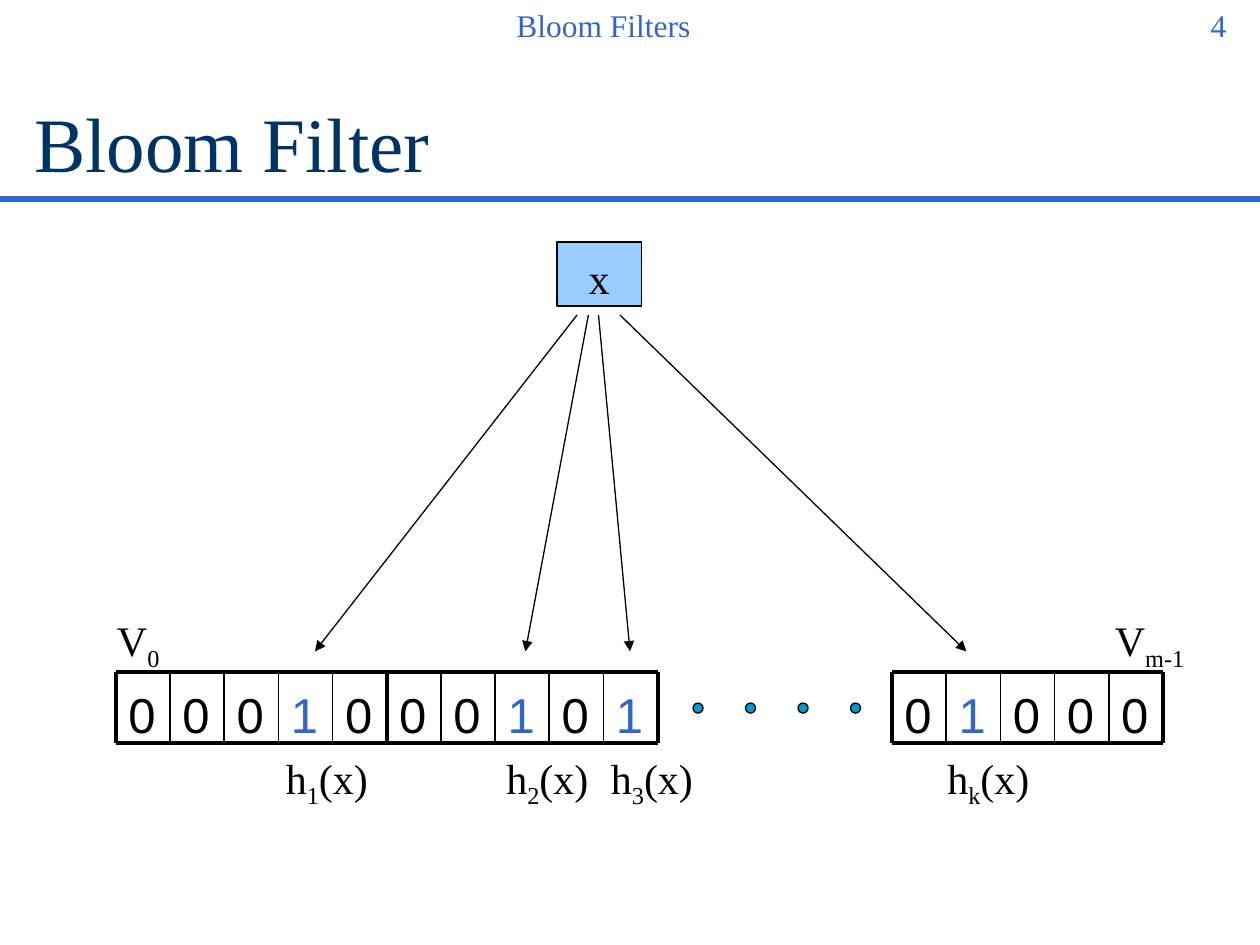
from dataclasses import dataclass

from lxml.etree import SubElement
from pptx import Presentation
from pptx.dml.color import RGBColor
from pptx.enum.shapes import MSO_CONNECTOR as Connector, MSO_SHAPE as Shape
from pptx.enum.text import MSO_ANCHOR as Anchor, PP_ALIGN as Align
from pptx.oxml.ns import qn
from pptx.util import Inches, Pt


@dataclass(frozen=True)
class Theme:
    """Colours, fonts and type sizes of the deck."""
    accent: RGBColor = RGBColor(0x33, 0x66, 0xCC)
    heading: RGBColor = RGBColor(0x00, 0x33, 0x66)
    ink: RGBColor = RGBColor(0x00, 0x00, 0x00)
    key_fill: RGBColor = RGBColor(0x99, 0xCC, 0xFF)
    dot_fill: RGBColor = RGBColor(0x00, 0x99, 0xCC)
    serif: str = "Times New Roman"
    sans: str = "Arial"
    title: int = 44
    bit: int = 28
    label: int = 24
    header: int = 18
    thick: float = 2.25
    thin: float = 1
    hairline: float = 0.75


THEME = Theme()


def style(para, size, color, face=THEME.serif, align=Align.LEFT):
    """Set the font and alignment of a paragraph."""
    para.alignment = align
    para.font.size = Pt(size)
    para.font.name = face
    para.font.color.rgb = color


def add_line(page, start, end, width, color=THEME.ink, arrow=False):
    """Draw a straight line, with an arrowhead at its end on request."""
    points = [Inches(value) for value in (*start, *end)]
    line = page.shapes.add_connector(Connector.STRAIGHT, *points)
    line.line.color.rgb = color
    line.line.width = Pt(width)
    if arrow:
        SubElement(line.line._get_or_add_ln(), qn("a:tailEnd"), type="triangle")
    SubElement(line._element.spPr, qn("a:effectLst"))


def add_shape(page, kind, box, fill=None):
    """Add a preset shape, outlined when it has a fill."""
    shape = page.shapes.add_shape(kind, *map(Inches, box))
    shape.shadow.inherit = False
    if fill is None:
        shape.fill.background()
        shape.line.fill.background()
    else:
        shape.fill.solid()
        shape.fill.fore_color.rgb = fill
        shape.line.color.rgb = THEME.ink
        shape.line.width = Pt(THEME.hairline)
    return shape


def write_in(shape, text, inset_top, *font):
    """Write one line at the top of a shape."""
    frame = shape.text_frame
    frame.vertical_anchor = Anchor.TOP
    frame.margin_top = Inches(inset_top)
    frame.text = text
    style(frame.paragraphs[0], *font)


def add_label(page, box, base, subscript="", rest="",
              size=THEME.label, color=THEME.ink):
    """Add a one-line label with an optional subscript."""
    frame = page.shapes.add_textbox(*map(Inches, box)).text_frame
    frame.word_wrap = False
    para = frame.paragraphs[0]
    style(para, size, color)
    for text, lowered in ((base, False), (subscript, True), (rest, False)):
        if text:
            span = para.add_run()
            span.text = text
            if lowered:
                span.font._element.set("baseline", "-25000")


def add_heading(page, box):
    """Place the running header, the rule and the title."""
    left, top, width, height = box
    rule = top + height - 0.17
    add_line(page, (0, rule), (10, rule), 3, THEME.accent)
    for text, spot in (("4", (9.51, 0, 0.49, 0.4)),
                       ("Bloom Filters", (4, 0, 1.58, 0.4))):
        add_label(page, spot, text, size=THEME.header, color=THEME.accent)
    title = page.shapes.title
    title.left, title.top, title.width, title.height = map(Inches, box)
    title.text_frame.text = "Bloom Filter"
    title.text_frame.vertical_anchor = Anchor.MIDDLE
    style(title.text_frame.paragraphs[0], THEME.title, THEME.heading)


def add_bits(page, box, bits):
    """Draw a framed row of bits, with the set bits in the accent colour."""
    left, top, width, height = box
    right, bottom = left + width, top + height
    cell = width / len(bits)
    for index, bit in enumerate(bits):
        shape = add_shape(page, Shape.FLOWCHART_DOCUMENT,
                          (left + index * cell, top, cell, height))
        color = THEME.accent if bit == "1" else THEME.ink
        write_in(shape, bit, 0.1, THEME.bit, color, THEME.sans)
    for y in (top, bottom):
        add_line(page, (left, y), (right, y), THEME.thick)
    for index in range(len(bits) + 1):
        x = left + index * cell
        weight = THEME.thick if index in (0, len(bits)) else THEME.thin
        add_line(page, (x, top), (x, bottom), weight)


def add_hashes(page, box):
    """Draw the key with its hash arrows and their labels."""
    left, top, width, height = box
    key = add_shape(page, Shape.RECTANGLE, box, THEME.key_fill)
    write_in(key, "x", 0.08, THEME.label, THEME.ink, THEME.serif, Align.CENTER)
    start_y, end_y = top + height + 0.07, 5.17
    hashes = (("1", 4.58, 2.5, 2.17), ("2", 4.67, 4.17, 3.92),
              ("3", 4.75, 5, 4.75), ("k", 4.92, 7.67, 7.42))
    for name, start_x, end_x, label_x in hashes:
        add_line(page, (start_x, start_y), (end_x, end_y), THEME.hairline,
                 arrow=True)
        add_label(page, (label_x, 5.92, 0.87, 0.5), "h", name, "(x)")


def add_vector(page, box):
    """Draw the bit vector with its dots and end labels."""
    left, top, width, height = box
    block = 2.15
    for x, bits in ((left, "00010"), (left + block, "00101"),
                    (left + width - block, "01000")):
        add_bits(page, (x, top, block, height), bits)
    for index in range(4):
        add_shape(page, Shape.OVAL,
                  (5.5 + index * 1.25 / 3, top + 0.25, 0.08, 0.08),
                  THEME.dot_fill)
    add_label(page, (0.83, top - 0.5, 0.55, 0.5), "V", "0")
    add_label(page, (8.75, top - 0.5, 0.8, 0.5), "V", "m-1")


def main():
    """Build and save the deck."""
    deck = Presentation()
    deck.slide_width, deck.slide_height = Inches(10), Inches(7.5)
    page = deck.slides.add_slide(deck.slide_layouts[5])
    add_heading(page, (0.17, 0.5, 9.62, 1.25))
    add_vector(page, (0.92, 5.33, 8.31, 0.57))
    add_hashes(page, (4.42, 1.92, 0.67, 0.51))
    deck.save("out.pptx")


if __name__ == "__main__":
    main()
